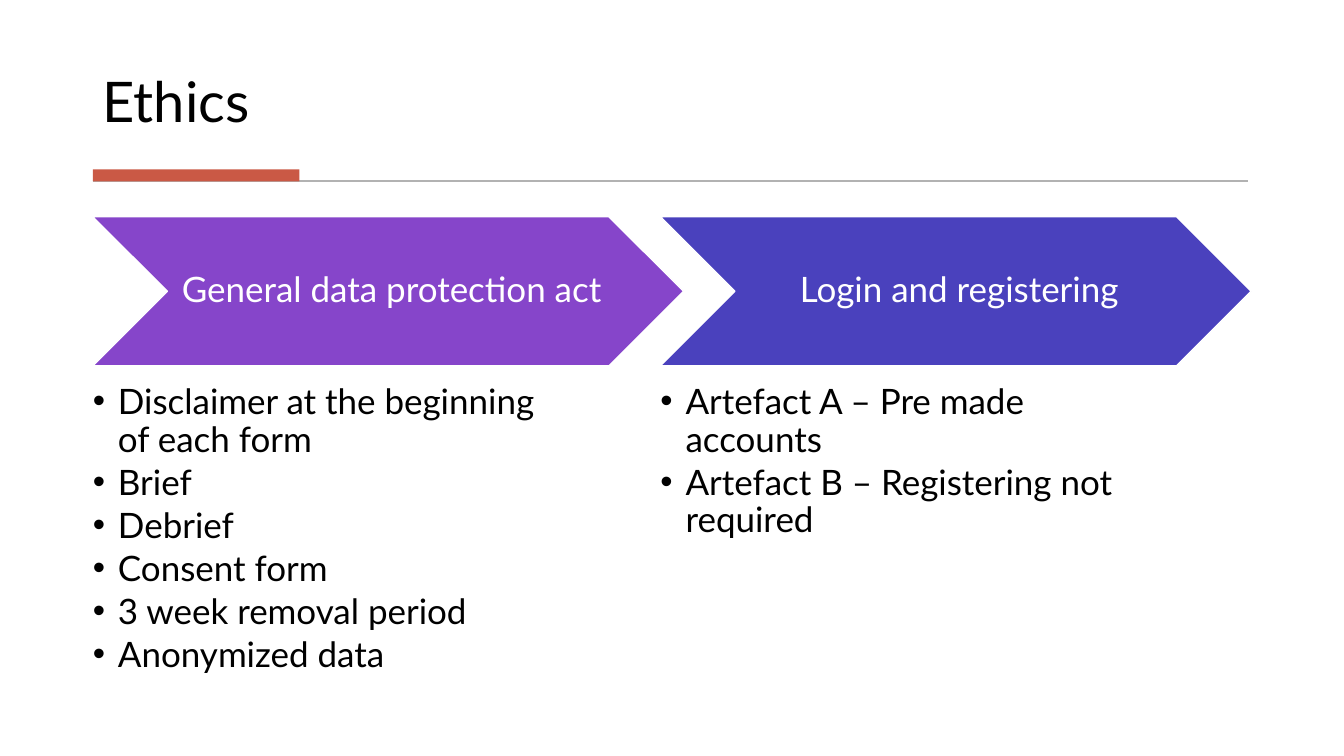
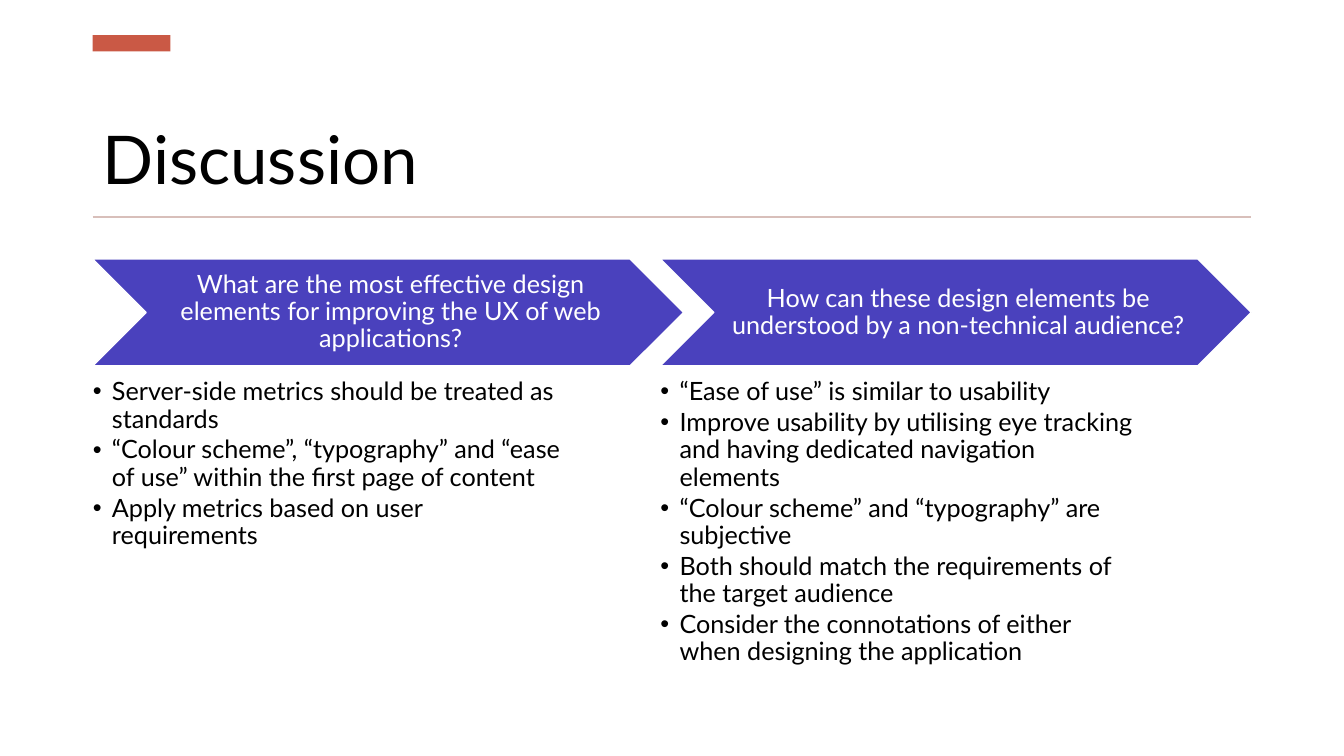
from lxml import etree
from pptx import Presentation
from pptx.dml.color import RGBColor
from pptx.enum.shapes import MSO_CONNECTOR as CONNECTOR, MSO_SHAPE as SHAPE
from pptx.enum.text import MSO_ANCHOR as ANCHOR, MSO_AUTO_SIZE as AUTO_SIZE, PP_ALIGN as ALIGN
from pptx.oxml.ns import qn
from pptx.util import Inches, Pt

COLORS = {
    "text": "000000", "white": "FFFFFF", "accent": "CA5945",
    "purple": "8645CA", "indigo": "4A41BD", "gray": "B2B2B2", "rose": "D8BFBA",
}
FONT = "Lato"
LEFT, COLUMN_PITCH = 0.92, 5.63
CHEVRON_WIDTH, LIST_WIDTH, TITLE_WIDTH = 5.86, 4.69, 11.49

SLIDES = [
    {
        "title": "Ethics", "title_size": 40, "title_top": 0.28, "title_height": 1.11,
        "accent": (1.68, 2.05, 0.12), "rule": (1.8, 12.38, "gray"),
        "size": 25, "chevron": (2.15, 1.48), "inset": (0.11, 0.04),
        "list": (3.81, 3.01), "indent": 0.25,
        "columns": [
            ("General data protection act", "purple", [
                "Disclaimer at the beginning of each form",
                "Brief",
                "Debrief",
                "Consent form",
                "3 week removal period",
                "Anonymized data",
            ]),
            ("Login and registering", "indigo", [
                "Artefact A – Pre made accounts",
                "Artefact B – Registering not required",
            ]),
        ],
    },
    {
        "title": "Discussion", "title_size": 48, "title_top": 0.75, "title_height": 1.27,
        "accent": (0.35, 0.77, 0.16), "rule": (2.15, 12.41, "rose"),
        "size": 18, "chevron": (2.57, 1.06), "inset": (0.08, 0.03),
        "list": (3.76, 2.93), "indent": 0.19,
        "columns": [
            ("What are the most effective design elements for improving the UX of web applications?",
             "indigo", [
                 "Server-side metrics should be treated as standards",
                 "“Colour scheme”, “typography” and “ease of use” within the first page of content",
                 "Apply metrics based on user requirements",
             ]),
            ("How can these design elements be understood by a non-technical audience?",
             "indigo", [
                 "“Ease of use” is similar to usability",
                 "Improve usability by utilising eye tracking and having dedicated navigation elements",
                 "“Colour scheme” and “typography” are subjective",
                 "Both should match the requirements of the target audience",
                 "Consider the connotations of either when designing the application",
             ]),
        ],
    },
]


def add_filled_shape(slide, kind, left, top, width, height, color):
    shape = slide.shapes.add_shape(kind, Inches(left), Inches(top), Inches(width), Inches(height))
    shape.shadow.inherit = False
    shape.fill.solid()
    shape.fill.fore_color.rgb = RGBColor.from_string(COLORS[color])
    shape.line.fill.background()
    return shape


def write_run(paragraph, text, size, color="text", align=ALIGN.LEFT, after=0):
    paragraph.alignment = align
    paragraph.line_spacing = 0.9
    paragraph.space_before = Pt(0)
    paragraph.space_after = Pt(after)
    run = paragraph.add_run()
    run.text = text
    run.font.name = FONT
    run.font.size = Pt(size)
    run.font.color.rgb = RGBColor.from_string(COLORS[color])


presentation = Presentation()
presentation.slide_width = Inches(13.33)
presentation.slide_height = Inches(7.5)
two_content = presentation.slide_layouts[3]

for content in SLIDES:
    slide = presentation.slides.add_slide(two_content)
    size = content["size"]

    title = slide.shapes.title
    title.left, title.top = Inches(LEFT), Inches(content["title_top"])
    title.width, title.height = Inches(TITLE_WIDTH), Inches(content["title_height"])
    title.text_frame.auto_size = AUTO_SIZE.NONE
    title.text_frame.vertical_anchor = ANCHOR.BOTTOM
    write_run(title.text_frame.paragraphs[0], content["title"], content["title_size"], after=6)

    rule_top, rule_right, rule_color = content["rule"]
    rule = slide.shapes.add_connector(CONNECTOR.STRAIGHT, Inches(LEFT), Inches(rule_top),
                                      Inches(rule_right), Inches(rule_top))
    rule.line.width = Pt(1.5)
    rule.line.color.rgb = RGBColor.from_string(COLORS[rule_color])
    etree.SubElement(rule.element.spPr, qn("a:effectLst"))

    accent_top, accent_width, accent_height = content["accent"]
    add_filled_shape(slide, SHAPE.RECTANGLE, LEFT, accent_top, accent_width, accent_height, "accent")

    chevron_top, chevron_height = content["chevron"]
    list_top, list_height = content["list"]
    inset_left, inset_other = content["inset"]
    for column, (heading, color, items) in enumerate(content["columns"]):
        left = LEFT + column * COLUMN_PITCH

        chevron = add_filled_shape(slide, SHAPE.CHEVRON, left, chevron_top,
                                   CHEVRON_WIDTH, chevron_height, color)
        chevron.line.color.rgb = RGBColor.from_string(COLORS["white"])
        chevron.line.width = Pt(1)
        frame = chevron.text_frame
        frame.word_wrap = True
        frame.vertical_anchor = ANCHOR.MIDDLE
        frame.margin_left = Inches(inset_left)
        frame.margin_right = frame.margin_top = frame.margin_bottom = Inches(inset_other)
        write_run(frame.paragraphs[0], heading, size, "white", ALIGN.CENTER)

        body = slide.placeholders[column + 1]
        body.left, body.top = Inches(left), Inches(list_top)
        body.width, body.height = Inches(LIST_WIDTH), Inches(list_height)
        frame = body.text_frame
        frame.auto_size = AUTO_SIZE.NONE
        frame.margin_left = frame.margin_right = frame.margin_top = frame.margin_bottom = 0
        for number, item in enumerate(items):
            paragraph = frame.add_paragraph() if number else frame.paragraphs[0]
            write_run(paragraph, item, size, after=size * 0.15)
            properties = paragraph._p.get_or_add_pPr()
            properties.set("marL", str(Inches(content["indent"])))
            properties.set("indent", str(-Inches(content["indent"])))
            etree.SubElement(properties, qn("a:buChar"), char="•")

presentation.save("out.pptx")
